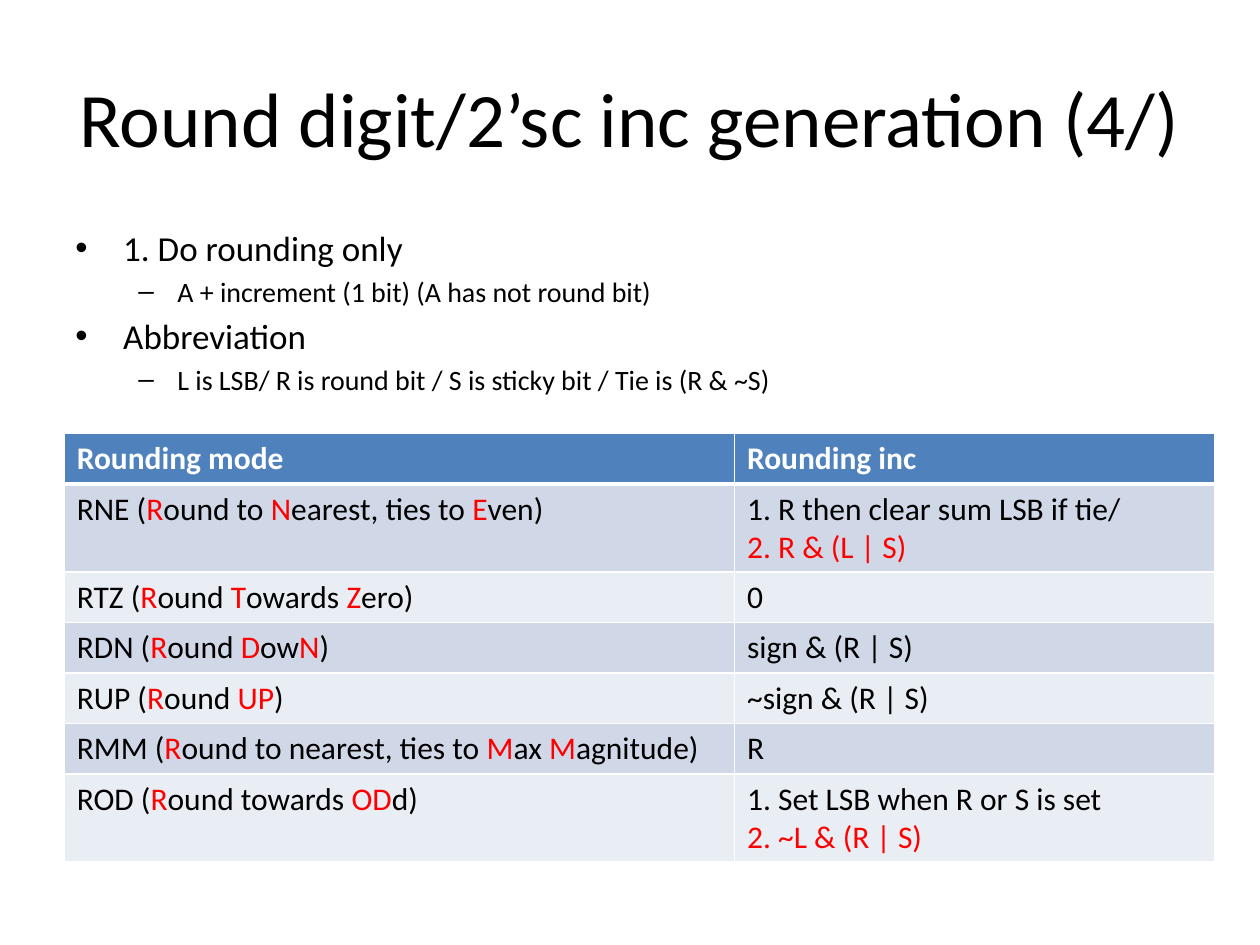
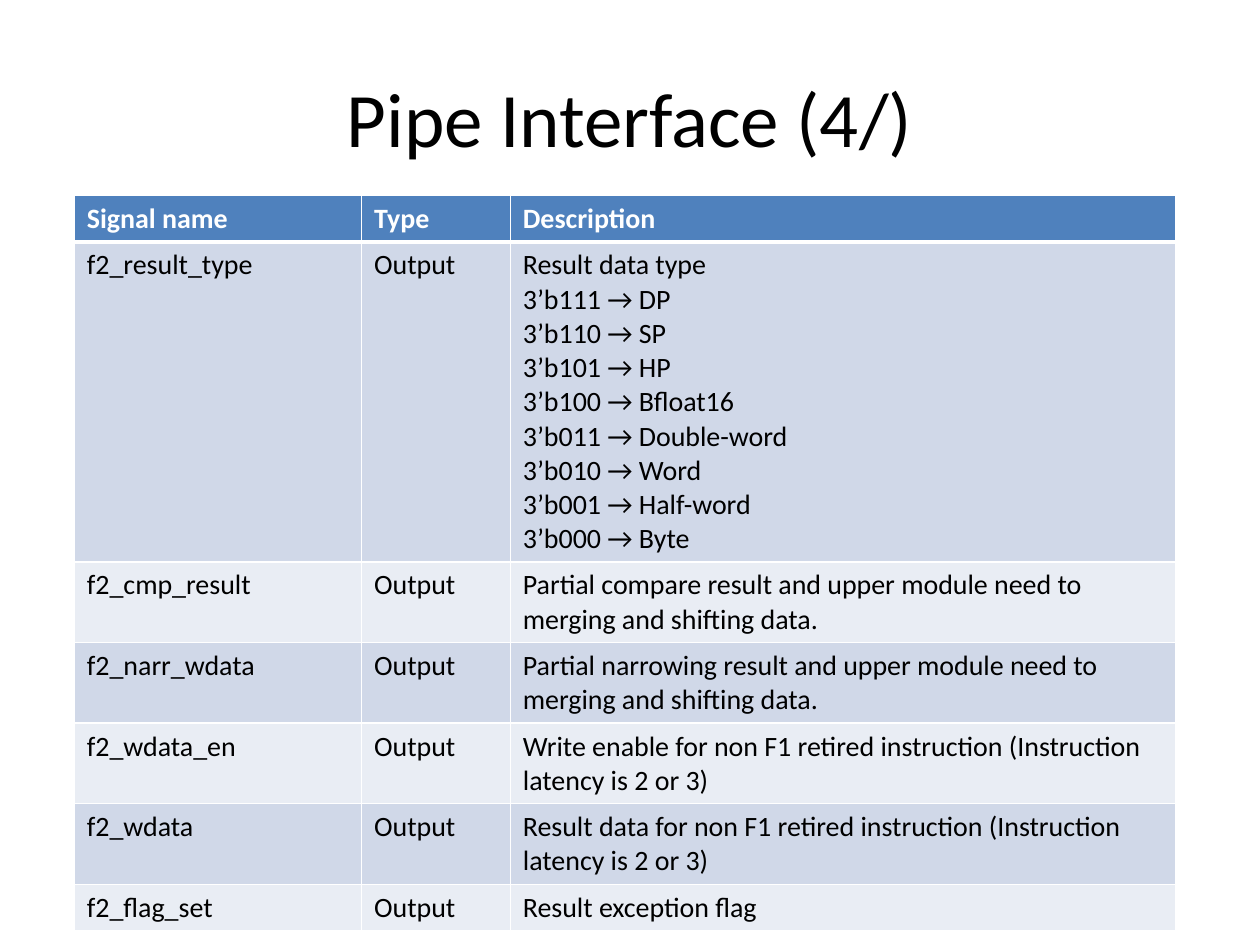
from lxml import etree
from pptx import Presentation
from pptx.dml.color import RGBColor
from pptx.enum.text import MSO_ANCHOR, PP_ALIGN
from pptx.oxml.ns import qn
from pptx.util import Inches, Pt

CENTER = PP_ALIGN.CENTER
MIDDLE = MSO_ANCHOR.MIDDLE

BLACK = RGBColor(0x00, 0x00, 0x00)
WHITE = RGBColor(0xFF, 0xFF, 0xFF)
RED = RGBColor(0xFF, 0x00, 0x00)
HEADER_BLUE = RGBColor(0x4F, 0x81, 0xBD)
BANDS = (RGBColor(0xD0, 0xD8, 0xE8), RGBColor(0xE9, 0xED, 0xF4))

FONT = "Calibri"
TITLE_BOX = (0.5, 0.3, 9, 1.25)
THIN, THICK = 1, 3

# Outline levels: bullet, left margin, hanging indent, size, space before
LEVELS = (
    ("•", 0.38, 0.38, 20, 4),
    ("–", 0.81, 0.31, 16, 3.2),
)

OUTLINE = (
    (0, "1. Do rounding only"),
    (1, "A + increment (1 bit) (A has not round bit)"),
    (0, "Abbreviation"),
    (1, "L is LSB/ R is round bit / S is sticky bit / Tie is (R & ~S)"),
)

# Asterisks enclose the red letters
ROUNDING_ROWS = (
    ("Rounding mode", "Rounding inc"),
    ("RNE (*R*ound to *N*earest, ties to *E*ven)",
     "1. R then clear sum LSB if tie/\n*2. R & (L | S)*"),
    ("RTZ (*R*ound *T*owards *Z*ero)", "0"),
    ("RDN (*R*ound *D*ow*N*)", "sign & (R | S)"),
    ("RUP (*R*ound *UP*)", "~sign & (R | S)"),
    ("RMM (*R*ound to nearest, ties to *M*ax *M*agnitude)", "R"),
    ("ROD (*R*ound towards *OD*d)",
     "1. Set LSB when R or S is set\n*2. ~L & (R | S)*"),
)

RESULT_TYPES = ("DP", "SP", "HP", "Bfloat16", "Double-word", "Word",
                "Half-word", "Byte")
RESULT_CODES = [f"3’b{7 - index:03b} → {name}"
                for index, name in enumerate(RESULT_TYPES)]

SIGNALS = (
    ("f2_result_type", "\n".join(["Result data type"] + RESULT_CODES)),
    ("f2_cmp_result", "Partial compare result and upper module need to "
                      "merging and shifting data."),
    ("f2_narr_wdata", "Partial narrowing result and upper module need to "
                      "merging and shifting data."),
    ("f2_wdata_en", "Write enable for non F1 retired instruction "
                    "(Instruction latency is 2 or 3)"),
    ("f2_wdata", "Result data for non F1 retired instruction "
                 "(Instruction latency is 2 or 3)"),
    ("f2_flag_set", "Result exception flag"),
)
SIGNAL_ROWS = [("Signal name", "Type", "Description")] + [
    (name, "Output", description) for name, description in SIGNALS]


def set_format(target, values):
    for name, value in values.items():
        setattr(target, name, value)


def add_span(para, text, size, color, bold=False):
    span = para.add_run()
    span.text = text
    set_format(span.font, {"name": FONT, "size": Pt(size), "bold": bold})
    span.font.color.rgb = color


def add_text_box(page, box):
    frame = page.shapes.add_textbox(*map(Inches, box)).text_frame
    frame.word_wrap = True
    return frame


def next_para(frame, index):
    return frame.add_paragraph() if index else frame.paragraphs[0]


def add_title(page, text, box=TITLE_BOX):
    frame = add_text_box(page, box)
    frame.vertical_anchor = MIDDLE
    para = frame.paragraphs[0]
    para.alignment = CENTER
    add_span(para, text, 44, BLACK)


def add_outline(page, items, box):
    frame = add_text_box(page, box)
    for index, (level, text) in enumerate(items):
        bullet, margin, hanging, size, space = LEVELS[level]
        para = next_para(frame, index)
        para.level = level
        if index:
            para.space_before = Pt(space)
        props = para._p.get_or_add_pPr()
        props.set("marL", str(Inches(margin)))
        props.set("indent", str(-Inches(hanging)))
        etree.SubElement(props, qn("a:buFont"), typeface="Arial")
        etree.SubElement(props, qn("a:buChar"), char=bullet)
        add_span(para, text, size, BLACK)


def set_borders(cell, top, bottom):
    """Draw white borders; they come before the fill in the cell's XML."""
    props = cell._tc.get_or_add_tcPr()
    widths = {"lnL": THIN, "lnR": THIN, "lnT": top, "lnB": bottom}
    for position, (side, width) in enumerate(widths.items()):
        line = etree.Element(qn(f"a:{side}"), w=str(Pt(width)))
        fill = etree.SubElement(line, qn("a:solidFill"))
        etree.SubElement(fill, qn("a:srgbClr"), val=str(WHITE))
        props.insert(position, line)


def fill_cell(cell, text, size, color, bold):
    for index, line in enumerate(text.split("\n")):
        para = next_para(cell.text_frame, index)
        for part, words in enumerate(line.split("*")):
            if words:
                add_span(para, words, size, RED if part % 2 else color, bold)


def add_banded_table(page, rows, corner, widths, heights, size):
    left, top = corner
    box = (left, top, sum(widths), sum(heights))
    table = page.shapes.add_table(
        len(rows), len(widths), *map(Inches, box)).table
    table.horz_banding = False
    for column, width in zip(table.columns, widths):
        column.width = Inches(width)
    for index, (row, height, texts) in enumerate(
            zip(table.rows, heights, rows)):
        row.height = Inches(height)
        header = index == 0
        for cell, text in zip(row.cells, texts):
            fill_cell(cell, text, size, WHITE if header else BLACK, header)
            cell.fill.solid()
            cell.fill.fore_color.rgb = (
                HEADER_BLUE if header else BANDS[(index - 1) % 2])
            set_borders(cell, THICK if index == 1 else THIN,
                        THICK if header else THIN)


def build_rounding_page(page):
    add_title(page, "Round digit/2’sc inc generation (4/)")
    add_outline(page, OUTLINE, (0.5, 1.75, 9, 4.95))
    heights = [0.7 if "\n" in texts[-1] else 0.4 for texts in ROUNDING_ROWS]
    add_banded_table(page, ROUNDING_ROWS, (0.51, 3.44), (5.32, 3.81),
                     heights, 18)


def build_interface_page(page):
    add_title(page, "Pipe Interface (4/)")
    heights = [0.37, 2.54] + [0.64] * 4 + [0.37]
    add_banded_table(page, SIGNAL_ROWS, (0.59, 1.55), (2.28, 1.18, 5.28),
                     heights, 16)


def main():
    deck = Presentation()
    set_format(deck, {"slide_width": Inches(10), "slide_height": Inches(7.5)})
    blank = deck.slide_layouts[6]
    for build in (build_rounding_page, build_interface_page):
        build(deck.slides.add_slide(blank))
    deck.save("out.pptx")


if __name__ == "__main__":
    main()
